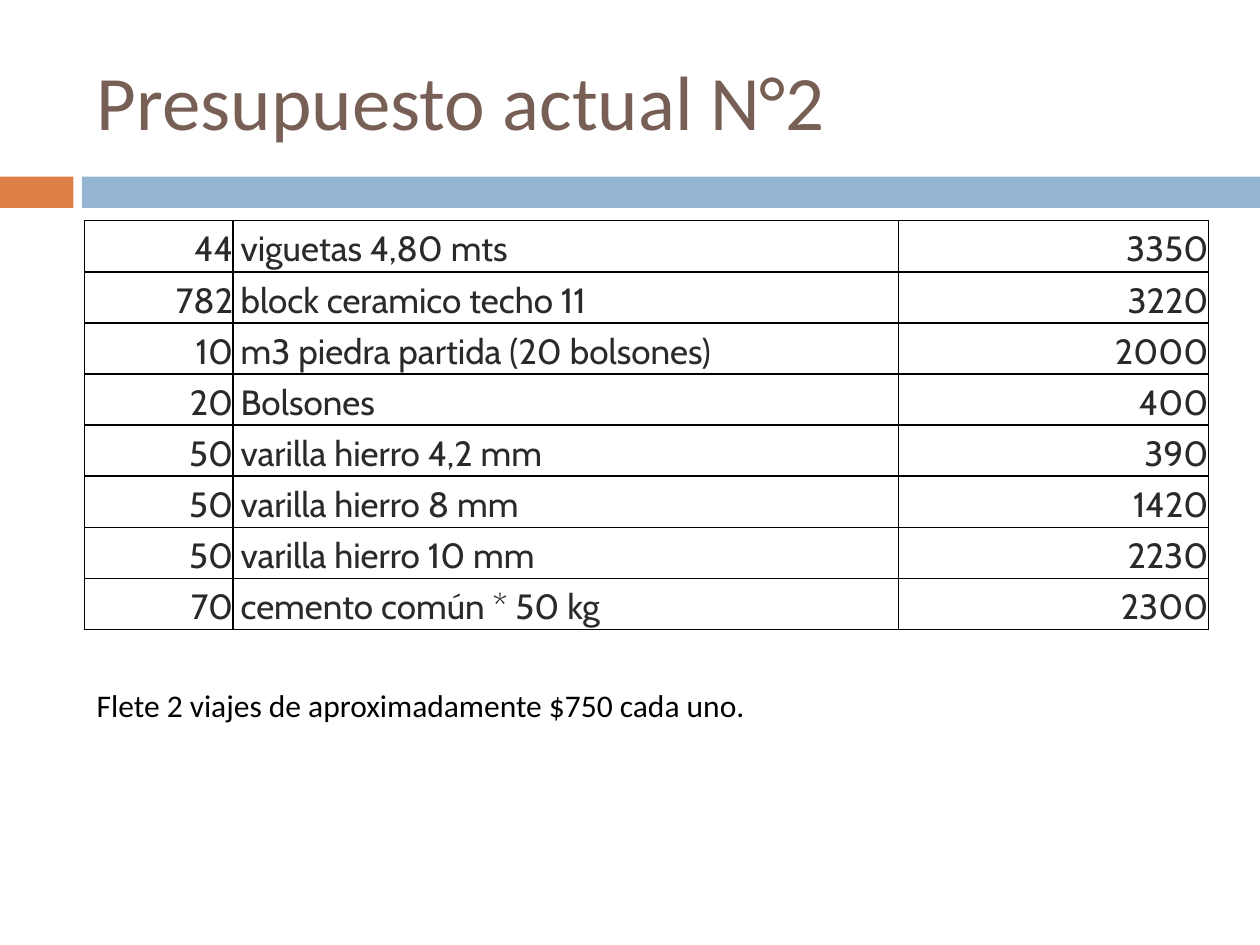
from dataclasses import dataclass

from lxml import etree
from pptx import Presentation
from pptx.dml.color import RGBColor
from pptx.enum.shapes import MSO_SHAPE
from pptx.enum.text import MSO_ANCHOR, PP_ALIGN
from pptx.oxml.ns import qn
from pptx.util import Cm, Pt

RECTANGLE = MSO_SHAPE.RECTANGLE
MIDDLE, TOP = MSO_ANCHOR.MIDDLE, MSO_ANCHOR.TOP
LEFT, RIGHT = PP_ALIGN.LEFT, PP_ALIGN.RIGHT
TITLE_ONLY = 5

COLORS = {
    "accent": "DD8047",
    "band": "94B6D2",
    "title": "775F55",
    "cell": "2A2A2A",
    "black": "000000",
}
FORMATS = {
    "title": {"name": "Calibri", "size": Pt(44)},
    "cell": {"name": "Cabin", "size": Pt(20)},
    "black": {"name": "Calibri", "size": Pt(18)},
}
MARGINS = ("margin_left", "margin_top", "margin_right", "margin_bottom")
MARGIN_LEFT = 1.7
ROW_HEIGHT = 1.03


@dataclass
class Bar:
    left: float
    width: float
    color: str


@dataclass
class Item:
    quantity: str
    material: str
    price: str


@dataclass
class Column:
    field: str
    width: float
    align: PP_ALIGN
    indent: float


BARS = [Bar(0, 1.48, "accent"), Bar(1.65, 23.75, "band")]
COLUMNS = [
    Column("quantity", 3.0, RIGHT, 0),
    Column("material", 13.41, LEFT, 0.15),
    Column("price", 6.25, RIGHT, 0),
]
ITEMS = [
    Item("44", "viguetas 4,80 mts", "3350"),
    Item("782", "block ceramico techo 11", "3220"),
    Item("10", "m3 piedra partida (20 bolsones)", "2000"),
    Item("20", "Bolsones", "400"),
    Item("50", "varilla hierro 4,2 mm", "390"),
    Item("50", "varilla hierro 8 mm", "1420"),
    Item("50", "varilla hierro 10 mm", "2230"),
    Item("70", "cemento común * 50 kg", "2300"),
]


def set_values(target, values: dict) -> None:
    for name, value in values.items():
        setattr(target, name, value)


def write(frame, text: str, style: str, align: PP_ALIGN = LEFT):
    para = frame.paragraphs[0]
    para.alignment = align
    span = para.add_run()
    span.text = text
    set_values(span.font, FORMATS[style])
    span.font.color.rgb = RGBColor.from_string(COLORS[style])
    return para


def draw_bar(page, bar: Bar) -> None:
    box = page.shapes.add_shape(RECTANGLE, Cm(bar.left), Cm(3.56), Cm(bar.width), Cm(0.63))
    box.shadow.inherit = False
    box.fill.solid()
    box.fill.fore_color.rgb = RGBColor.from_string(COLORS[bar.color])
    box.line.fill.background()


def draw_borders(cell) -> None:
    properties = cell._tc.get_or_add_tcPr()
    for side in ("lnL", "lnR", "lnT", "lnB"):
        line = etree.SubElement(properties, qn(f"a:{side}"), w=str(Pt(1)))
        fill = etree.SubElement(line, qn("a:solidFill"))
        etree.SubElement(fill, qn("a:srgbClr"), val=COLORS["black"])


def fill_cell(cell, text: str, column: Column) -> None:
    set_values(cell, dict.fromkeys(MARGINS, 0))
    set_values(cell, {"margin_left": Cm(column.indent), "vertical_anchor": MIDDLE})
    draw_borders(cell)
    cell.fill.background()
    para = write(cell.text_frame, text, "cell", column.align)
    para.line_spacing = 1.15


def draw_budget(page, items: list[Item]) -> None:
    width = sum(column.width for column in COLUMNS)
    table = page.shapes.add_table(
        len(items), len(COLUMNS), Cm(MARGIN_LEFT), Cm(4.45),
        Cm(width), Cm(ROW_HEIGHT * len(items)),
    ).table
    set_values(table, {"first_row": False, "horz_banding": False})
    for index, column in enumerate(COLUMNS):
        table.columns[index].width = Cm(column.width)
    for row, item in enumerate(items):
        table.rows[row].height = Cm(ROW_HEIGHT)
        for index, column in enumerate(COLUMNS):
            fill_cell(table.cell(row, index), getattr(item, column.field), column)


def draw_note(page, text: str) -> None:
    box = page.shapes.add_textbox(Cm(MARGIN_LEFT), Cm(12.93), Cm(15), Cm(2.57))
    frame = box.text_frame
    set_values(frame, {"word_wrap": True, "vertical_anchor": TOP, "margin_top": Cm(0.9)})
    write(frame, text, "black")


def main() -> None:
    deck = Presentation()
    set_values(deck, {"slide_width": Cm(25.4), "slide_height": Cm(19.05)})
    page = deck.slides.add_slide(deck.slide_layouts[TITLE_ONLY])
    for bar in BARS:
        draw_bar(page, bar)
    title = page.shapes.title
    set_values(title, {
        "left": Cm(MARGIN_LEFT), "top": Cm(0.64), "width": Cm(22.66), "height": Cm(2.74),
    })
    title.text_frame.vertical_anchor = MIDDLE
    write(title.text_frame, "Presupuesto actual N°2", "title")
    draw_budget(page, ITEMS)
    draw_note(page, "Flete 2 viajes de aproximadamente $750 cada uno.")
    deck.save("out.pptx")


if __name__ == "__main__":
    main()
